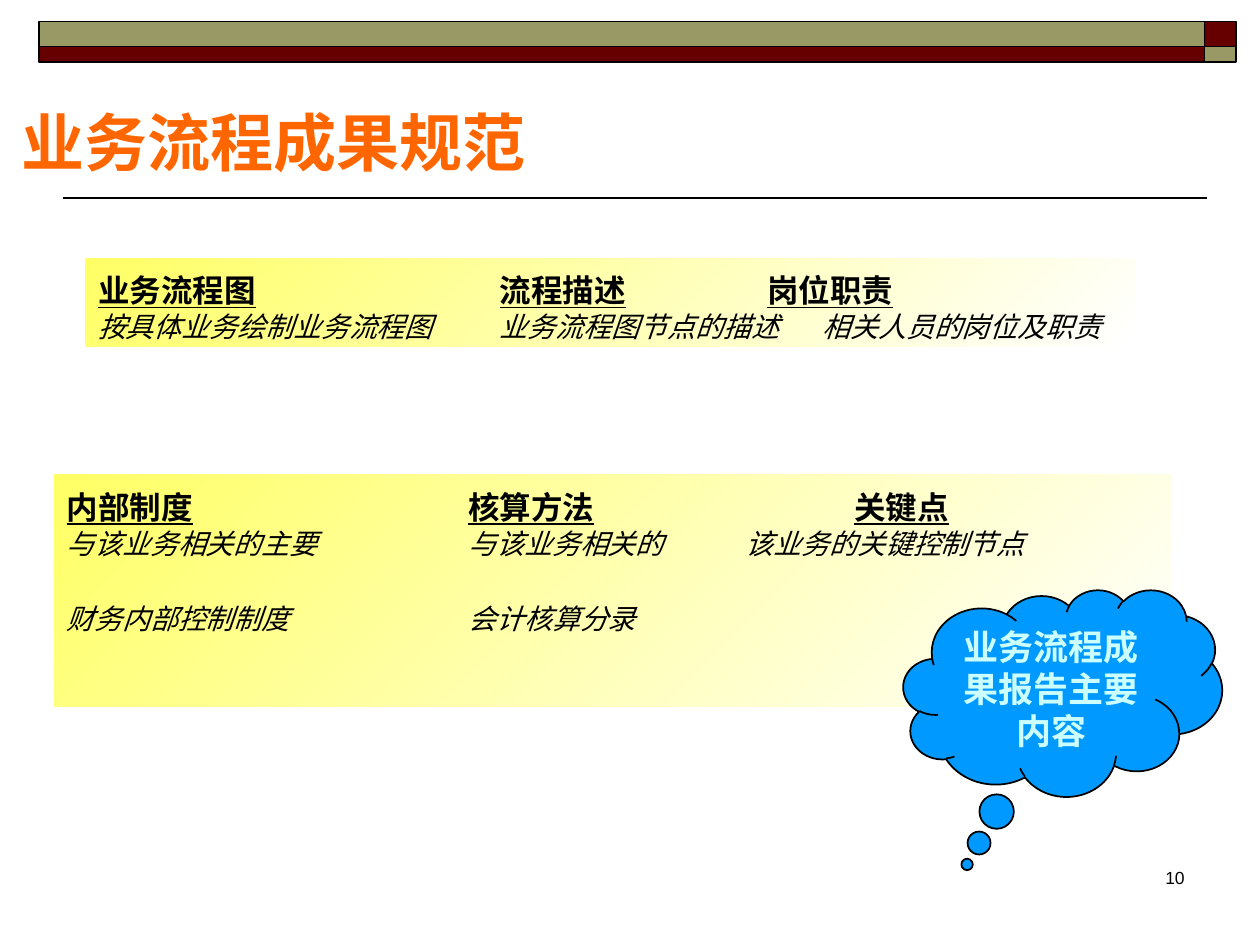
from dataclasses import dataclass

from lxml.etree import SubElement
from pptx import Presentation
from pptx.dml.color import RGBColor
from pptx.enum.shapes import MSO_CONNECTOR, MSO_SHAPE
from pptx.enum.text import MSO_ANCHOR, PP_ALIGN
from pptx.oxml.ns import qn
from pptx.util import Inches, Pt

BLACK = RGBColor(0x00, 0x00, 0x00)
WHITE = RGBColor(0xFF, 0xFF, 0xFF)
MAROON = RGBColor(0x66, 0x00, 0x00)
OLIVE = RGBColor(0x99, 0x99, 0x66)
ORANGE = RGBColor(0xFF, 0x66, 0x00)
YELLOW = RGBColor(0xFF, 0xFF, 0x66)
BLUE = RGBColor(0x00, 0x99, 0xFF)
PALE_CYAN = RGBColor(0xCC, 0xFF, 0xFF)
CHINESE_FONT = "Noto Sans CJK SC"

TITLE = {"size": Pt(36), "bold": True, "name": CHINESE_FONT}
HEADING = {"size": Pt(18), "bold": True, "underline": True, "name": CHINESE_FONT}
DETAIL = {"size": Pt(16), "italic": True, "name": CHINESE_FONT}
CALLOUT = {"size": Pt(20), "bold": True, "name": CHINESE_FONT}
PAGE_NUMBER = {"size": Pt(10), "name": "Arial"}


@dataclass
class Box:
    left: float
    top: float
    width: float
    height: float

    def lengths(self) -> list:
        return [Inches(value) for value in (self.left, self.top, self.width, self.height)]


@dataclass
class Row:
    """One line of columns; the tabs place every column after the first."""
    columns: list[str]
    tabs: list[float]
    format: dict
    line_height: float
    space_before: float = 0


@dataclass
class Panel:
    box: Box
    rows: list[Row]


BANDS = [
    (Box(9.56, 0.17, 0.25, 0.2), MAROON),
    (Box(0.31, 0.17, 9.25, 0.2), OLIVE),
    (Box(0.31, 0.37, 9.25, 0.12), MAROON),
    (Box(9.56, 0.37, 0.25, 0.12), OLIVE),
]
PANELS = [
    Panel(Box(0.68, 2.05, 8.33, 0.7), [
        Row(["业务流程图", "流程描述", "岗位职责"], [3.19, 5.31], HEADING, 25.5),
        Row(["按具体业务绘制业务流程图", "业务流程图节点的描述", "相关人员的岗位及职责"],
            [3.19, 5.75], DETAIL, 19.5),
    ]),
    Panel(Box(0.43, 3.77, 8.87, 1.84), [
        Row(["内部制度", "核算方法", "关键点"], [3.19, 6.25], HEADING, 25.5),
        Row(["与该业务相关的主要", "与该业务相关的", "该业务的关键控制节点"],
            [3.19, 5.39], DETAIL, 19.5),
        Row(["财务内部控制制度", "会计核算分录"], [3.19], DETAIL, 19.5, 23.5),
    ]),
]


def add_run(paragraph, text: str, format: dict, color: RGBColor) -> None:
    run = paragraph.add_run()
    run.text = text
    for attribute, value in format.items():
        setattr(run.font, attribute, value)
    run.font.color.rgb = color
    SubElement(run.font._element, qn("a:ea"), typeface=format["name"])


def add_filled_shape(slide, kind: MSO_SHAPE, box: Box, color: RGBColor):
    shape = slide.shapes.add_shape(kind, *box.lengths())
    shape.shadow.inherit = False
    shape.fill.solid()
    shape.fill.fore_color.rgb = color
    shape.line.color.rgb = BLACK
    shape.line.width = Pt(1)
    return shape


def add_text(slide, box: Box, text: str, format: dict, color: RGBColor,
             alignment: PP_ALIGN, anchor: MSO_ANCHOR) -> None:
    frame = slide.shapes.add_textbox(*box.lengths()).text_frame
    frame.word_wrap = True
    frame.vertical_anchor = anchor
    frame.paragraphs[0].alignment = alignment
    add_run(frame.paragraphs[0], text, format, color)


def add_rule(slide) -> None:
    rule = slide.shapes.add_connector(
        MSO_CONNECTOR.STRAIGHT, Inches(0.5), Inches(1.57), Inches(9.58), Inches(1.57))
    rule.line.color.rgb = BLACK
    rule.line.width = Pt(1)
    SubElement(rule._element.spPr, qn("a:effectLst"))


def fill_row(paragraph, row: Row) -> None:
    tab_list = SubElement(paragraph._p.get_or_add_pPr(), qn("a:tabLst"))
    for position in row.tabs:
        SubElement(tab_list, qn("a:tab"), pos=str(Inches(position)), algn="l")
    paragraph.alignment = PP_ALIGN.LEFT
    paragraph.line_spacing = Pt(row.line_height)
    if row.space_before:
        paragraph.space_before = Pt(row.space_before)
    for index, text in enumerate(row.columns):
        if index:
            add_run(paragraph, "\t", DETAIL, BLACK)
        add_run(paragraph, text, row.format, BLACK)


def add_panel(slide, panel: Panel) -> None:
    shape = slide.shapes.add_shape(MSO_SHAPE.RECTANGLE, *panel.box.lengths())
    shape.shadow.inherit = False
    shape.line.fill.background()
    shape.fill.gradient()
    shape.fill.gradient_angle = 135
    for stop, color in zip(shape.fill.gradient_stops, (WHITE, YELLOW)):
        stop.color.rgb = color
    frame = shape.text_frame
    frame.word_wrap = True
    frame.vertical_anchor = MSO_ANCHOR.TOP
    for index, row in enumerate(panel.rows):
        fill_row(frame.add_paragraph() if index else frame.paragraphs[0], row)


def add_callout(slide) -> None:
    cloud = add_filled_shape(
        slide, MSO_SHAPE.CLOUD_CALLOUT, Box(7.17, 4.68, 2.53, 1.64), BLUE)
    cloud.adjustments[0] = -0.3
    cloud.adjustments[1] = 0.83
    cloud.text_frame.word_wrap = True
    cloud.text_frame.vertical_anchor = MSO_ANCHOR.MIDDLE
    paragraph = cloud.text_frame.paragraphs[0]
    paragraph.alignment = PP_ALIGN.CENTER
    paragraph.line_spacing = Pt(24)
    add_run(paragraph, "业务流程成果报告主要内容", CALLOUT, PALE_CYAN)


def main() -> None:
    presentation = Presentation()
    presentation.slide_width = Inches(10)
    presentation.slide_height = Inches(7.5)
    slide = presentation.slides.add_slide(presentation.slide_layouts[6])
    add_rule(slide)
    for box, color in BANDS:
        add_filled_shape(slide, MSO_SHAPE.RECTANGLE, box, color)
    add_text(slide, Box(0.07, 0.77, 4.53, 0.71), "业务流程成果规范", TITLE, ORANGE,
             PP_ALIGN.LEFT, MSO_ANCHOR.MIDDLE)
    for panel in PANELS:
        add_panel(slide, panel)
    add_callout(slide)
    add_text(slide, Box(7.42, 6.83, 2.08, 0.5), "10", PAGE_NUMBER, BLACK,
             PP_ALIGN.RIGHT, MSO_ANCHOR.TOP)
    presentation.save("out.pptx")


if __name__ == "__main__":
    main()
